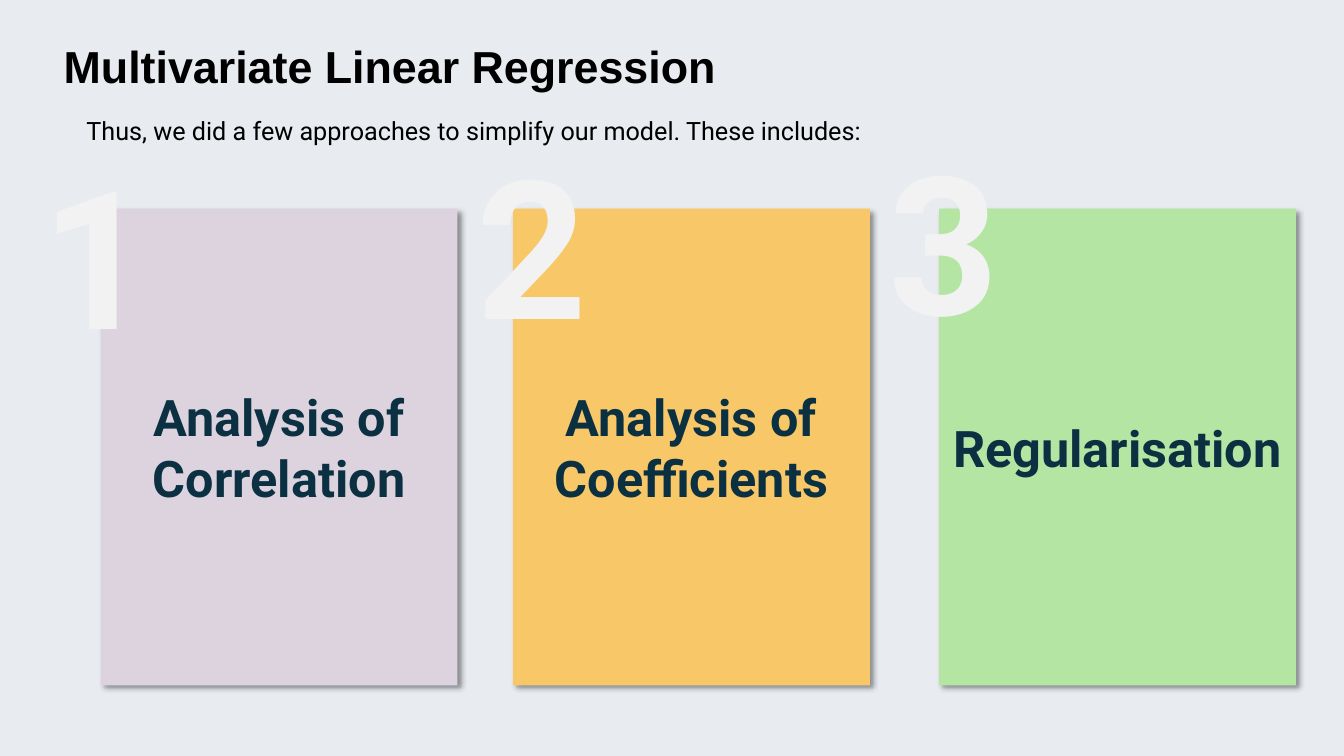
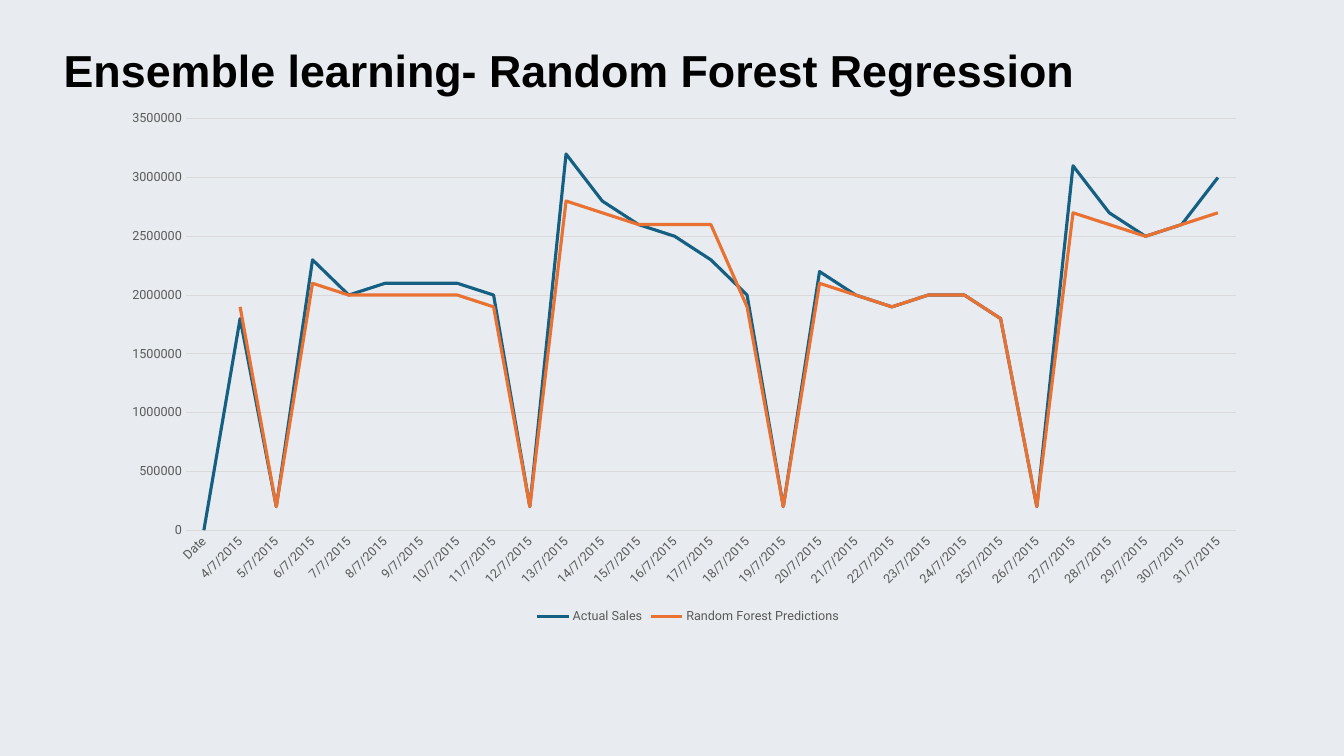
from lxml.etree import SubElement
from pptx import Presentation
from pptx.chart.data import CategoryChartData
from pptx.dml.color import RGBColor
from pptx.enum.chart import XL_CHART_TYPE, XL_LEGEND_POSITION, XL_TICK_MARK
from pptx.enum.shapes import MSO_SHAPE
from pptx.enum.text import MSO_ANCHOR, MSO_AUTO_SIZE, PP_ALIGN
from pptx.oxml import parse_xml
from pptx.oxml.ns import nsdecls, qn
from pptx.util import Cm, Pt

COLORS = {
    "background": "E8ECF0",
    "black": "000000",
    "card_text": "0B3041",
    "number": "F2F2F2",
    "lilac": "DCD3DF",
    "amber": "F8C868",
    "gold": "F2B800",
    "green": "B4E5A2",
    "actual": "156082",
    "predicted": "E97132",
    "axis_text": "595959",
    "grid": "D9D9D9",
}
TITLE_FONT = "Arial"
BODY_FONT = "Roboto"

CARD_TOP, CARD_WIDTH, CARD_HEIGHT = 5.26, 8.99, 12.01
NUMBER_WIDTH, NUMBER_HEIGHT = 3.18, 6.15
CARDS = [
    ("Analysis of Correlation", "lilac", "lilac", 2.54, (0.79, 3.3)),
    ("Analysis of Coefficients", "amber", "gold", 12.93, (11.76, 3.05)),
    ("Regularisation", "green", "green", 23.67, (22.15, 2.97)),
]

DATES = ["Date"] + [f"{day}/7/2015" for day in range(4, 32)]
SALES_IN_MILLIONS = {
    "Actual Sales": (
        "actual",
        [0, 1.8, 0.2, 2.3, 2, 2.1, 2.1, 2.1, 2, 0.2, 3.2, 2.8, 2.6, 2.5, 2.3,
         2, 0.2, 2.2, 2, 1.9, 2, 2, 1.8, 0.2, 3.1, 2.7, 2.5, 2.6, 3],
    ),
    "Random Forest Predictions": (
        "predicted",
        [None, 1.9, 0.2, 2.1, 2, 2, 2, 2, 1.9, 0.2, 2.8, 2.7, 2.6, 2.6, 2.6,
         1.9, 0.2, 2.1, 2, 1.9, 2, 2, 1.8, 0.2, 2.7, 2.6, 2.5, 2.6, 2.7],
    ),
}
PLOT_AREA = {"x": 0.054, "y": 0.032, "w": 0.933, "h": 0.782}


def rgb(name):
    """Return the palette colour with this name."""
    return RGBColor.from_string(COLORS[name])


def box(left, top, width, height):
    """Convert a box in centimetres to lengths."""
    return Cm(left), Cm(top), Cm(width), Cm(height)


def format_font(font, size, color, name=BODY_FONT, bold=False):
    """Set the typeface, size, weight and colour of a font."""
    font.name, font.size, font.bold = name, Pt(size), bold
    font.color.rgb = rgb(color)


def write_text(frame, text, *, size, color="black", font=BODY_FONT, bold=False,
               align=PP_ALIGN.LEFT, anchor=MSO_ANCHOR.TOP, wrap=True):
    """Fill a text frame with one formatted paragraph and return its run."""
    frame.word_wrap = wrap
    frame.auto_size = MSO_AUTO_SIZE.NONE
    frame.vertical_anchor = anchor
    paragraph = frame.paragraphs[0]
    paragraph.alignment = align
    run = paragraph.add_run()
    run.text = text
    format_font(run.font, size, color, font, bold)
    return run


def add_titled_slide(presentation, title, top, width):
    """Add a slide with a left-aligned bold title."""
    slide = presentation.slides.add_slide(presentation.slide_layouts[5])
    shape = slide.shapes.title
    shape.left, shape.top, shape.width, shape.height = box(1.35, top, width, 1.63)
    write_text(shape.text_frame, title, size=32, font=TITLE_FONT, bold=True)
    return slide


def add_shadow(shape):
    """Give a shape a soft shadow towards the lower right."""
    shape.shadow.inherit = False
    effects = shape._element.spPr.find(qn("a:effectLst"))
    effects.append(parse_xml(
        f'<a:outerShdw {nsdecls("a")} blurRad="50800" dist="38100" dir="2700000" algn="tl">'
        f'<a:srgbClr val="{COLORS["black"]}"><a:alpha val="40000"/></a:srgbClr>'
        "</a:outerShdw>"))


def add_card(slide, text, fill, left):
    """Add a coloured card with a centred label."""
    card = slide.shapes.add_shape(
        MSO_SHAPE.ROUNDED_RECTANGLE, *box(left, CARD_TOP, CARD_WIDTH, CARD_HEIGHT))
    card.adjustments[0] = 0
    card.fill.solid()
    card.fill.fore_color.rgb = rgb(fill)
    card.line.fill.background()
    add_shadow(card)
    write_text(card.text_frame, text, size=36, color="card_text", bold=True,
               align=PP_ALIGN.CENTER, anchor=MSO_ANCHOR.MIDDLE)


def add_number(slide, number, outline, left, top):
    """Add a huge outlined number over the corner of a card."""
    shape = slide.shapes.add_textbox(*box(left, top, NUMBER_WIDTH, NUMBER_HEIGHT))
    run = write_text(shape.text_frame, str(number), size=138, color="number",
                     bold=True, wrap=False)
    run.font._element.insert(0, parse_xml(
        f'<a:ln {nsdecls("a")} w="3175"><a:solidFill>'
        f'<a:srgbClr val="{COLORS[outline]}"/></a:solidFill></a:ln>'))


def set_plot_area(chart):
    """Place the inner plot area at fixed fractions of the chart."""
    plot_area = chart._chartSpace.chart.plotArea
    for old_layout in plot_area.findall(qn("c:layout")):
        plot_area.remove(old_layout)
    layout = parse_xml(f'<c:layout {nsdecls("c")}><c:manualLayout/></c:layout>')
    settings = {"layoutTarget": "inner", "xMode": "edge", "yMode": "edge", **PLOT_AREA}
    for tag, value in settings.items():
        SubElement(layout[0], qn(f"c:{tag}")).set("val", str(value))
    plot_area.insert(0, layout)


def format_axes(chart):
    """Style the axes and the gridlines of a chart."""
    dates, values = chart.category_axis, chart.value_axis
    for axis in (dates, values):
        axis.major_tick_mark = axis.minor_tick_mark = XL_TICK_MARK.NONE
        format_font(axis.tick_labels.font, 9, "axis_text")
    values.minimum_scale, values.maximum_scale = 0, 3500000
    values.major_unit = 500000
    values.format.line.fill.background()
    for line in (dates.format.line, values.major_gridlines.format.line):
        line.color.rgb = rgb("grid")
        line.width = Pt(0.75)
    labels = dates._element.find(qn("c:txPr"))
    labels.find(qn("a:bodyPr")).set("rot", "-2700000")


def add_sales_chart(slide):
    """Add the line chart of actual and predicted sales."""
    data = CategoryChartData()
    data.categories = DATES
    for name, (_, values) in SALES_IN_MILLIONS.items():
        data.add_series(name, [None if value is None else round(value * 1000000)
                               for value in values])
    chart = slide.shapes.add_chart(
        XL_CHART_TYPE.LINE, *box(3.15, 2.57, 28.37, 13.26), data).chart
    chart.has_title = False
    format_font(chart.font, 10, "black")
    chart.plots[0].vary_by_categories = False
    for series, (color, _) in zip(chart.plots[0].series, SALES_IN_MILLIONS.values()):
        series.smooth = False
        series.format.line.color.rgb = rgb(color)
        series.format.line.width = Pt(2.25)
    format_axes(chart)
    set_plot_area(chart)
    chart.has_legend = True
    chart.legend.position = XL_LEGEND_POSITION.BOTTOM
    chart.legend.include_in_layout = False
    format_font(chart.legend.font, 9, "axis_text")


def build_approaches(presentation):
    """Build the slide with three numbered approaches."""
    slide = add_titled_slide(presentation, "Multivariate Linear Regression", 0.84, 25.86)
    introduction = slide.shapes.add_textbox(*box(1.93, 2.79, 30.07, 1.02))
    write_text(introduction.text_frame,
               "Thus, we did a few approaches to simplify our model. These includes:",
               size=18)
    for number, (text, fill, outline, left, corner) in enumerate(CARDS, 1):
        add_card(slide, text, fill, left)
        add_number(slide, number, outline, *corner)


def build_forecast(presentation):
    """Build the slide with the sales chart."""
    slide = add_titled_slide(
        presentation, "Ensemble learning- Random Forest Regression", 0.94, 28.8)
    add_sales_chart(slide)


def main():
    """Build and save the presentation."""
    presentation = Presentation()
    presentation.slide_width, presentation.slide_height = Cm(33.87), Cm(19.05)
    background = presentation.slide_master.background.fill
    background.solid()
    background.fore_color.rgb = rgb("background")
    build_approaches(presentation)
    build_forecast(presentation)
    presentation.save("out.pptx")


if __name__ == "__main__":
    main()
